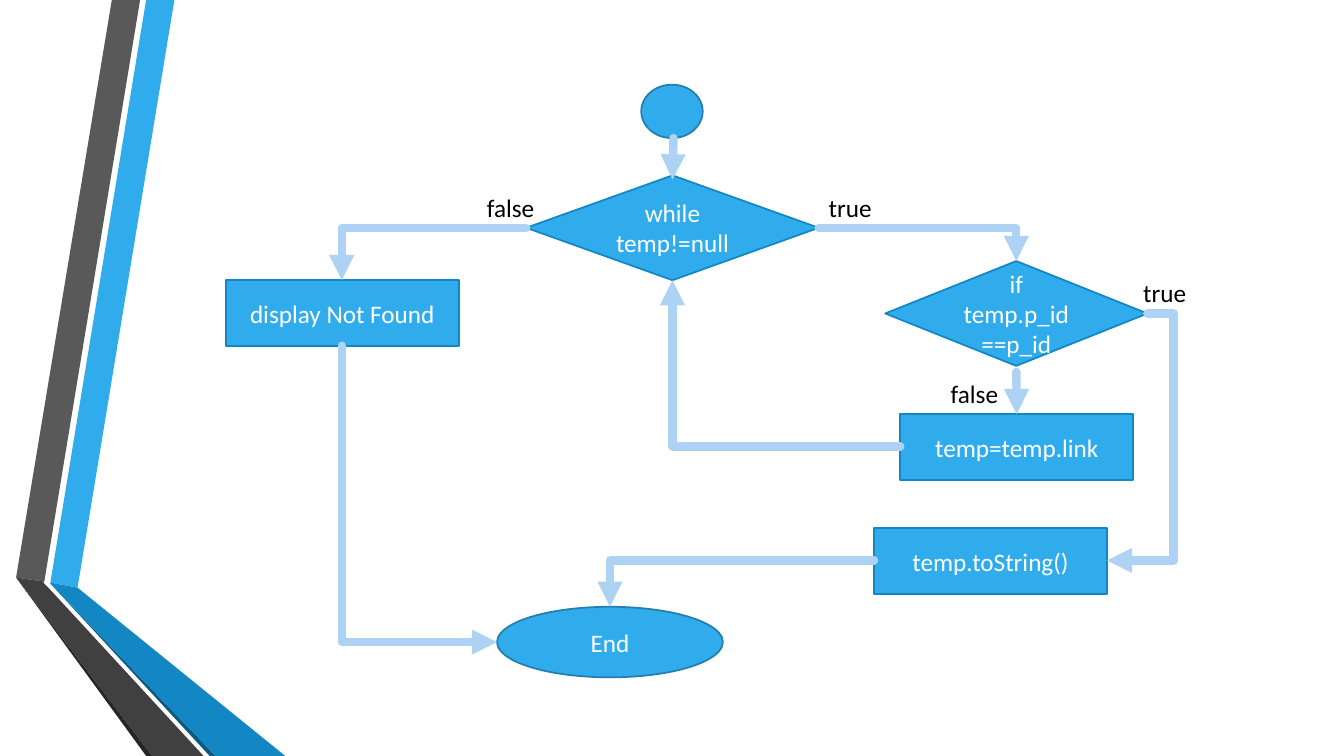
from dataclasses import dataclass
from enum import Enum

from lxml.etree import SubElement
from pptx import Presentation
from pptx.dml.color import RGBColor
from pptx.enum.shapes import MSO_CONNECTOR, MSO_SHAPE
from pptx.enum.text import MSO_ANCHOR, MSO_AUTO_SIZE, PP_ALIGN
from pptx.oxml.ns import qn
from pptx.shapes.autoshape import Shape
from pptx.shapes.connector import Connector
from pptx.slide import Slide
from pptx.util import Pt

PX = 9144  # EMU per px, 100 px to the inch
Point = tuple[int, int]


@dataclass(frozen=True)
class Theme:
    font: str = "Calibri"
    text_size: int = 18
    outline_width: float = 1.25
    arrow_width: int = 6
    accent: str = "30ACEC"
    accent_dark: str = "1287C3"
    accent_deep: str = "0C5A82"
    round_outline: str = "247FAF"
    arrow: str = "AED2F4"
    gray: str = "595959"
    gray_dark: str = "404040"
    gray_deep: str = "262626"
    on_accent: str = "FFFFFF"
    label: str = "000000"


THEME = Theme()


@dataclass(frozen=True)
class Node:
    kind: MSO_SHAPE
    left: int
    top: int
    width: int
    height: int
    text: str = ""
    outline: str = THEME.accent_dark

    @property
    def north(self) -> Point:
        return self.left + self.width // 2, self.top

    @property
    def south(self) -> Point:
        return self.left + self.width // 2, self.top + self.height

    @property
    def west(self) -> Point:
        return self.left, self.top + self.height // 2

    @property
    def east(self) -> Point:
        return self.left + self.width, self.top + self.height // 2


class Route(Enum):
    STRAIGHT = "straight"
    ACROSS_FIRST = "across first"
    DOWN_FIRST = "down first"
    AROUND = "around"


@dataclass(frozen=True)
class Arrow:
    begin: Point
    end: Point
    route: Route = Route.ACROSS_FIRST


@dataclass(frozen=True)
class Label:
    text: str
    left: int
    top: int
    width: int = 98
    height: int = 40


@dataclass(frozen=True)
class Ribbon:
    color: str
    points: tuple[Point, ...]


def process(text: str, left: int, top: int) -> Node:
    return Node(MSO_SHAPE.RECTANGLE, left, top, 231, 65, text)


START = Node(MSO_SHAPE.FLOWCHART_CONNECTOR, 636, 84, 61, 53, outline=THEME.round_outline)
LOOP = Node(MSO_SHAPE.DIAMOND, 522, 174, 290, 104, "while\ntemp!=null")
NOT_FOUND = process("display Not Found", 224, 278)
MATCH = Node(MSO_SHAPE.DIAMOND, 878, 259, 260, 104, "if temp.p_id==p_id")
NEXT = process("temp=temp.link", 893, 411)
SHOW = process("temp.toString()", 867, 524)
END = Node(MSO_SHAPE.OVAL, 493, 602, 224, 70, "End", THEME.round_outline)
NODES = (START, LOOP, NOT_FOUND, MATCH, NEXT, SHOW, END)

MATCH_TO_NEXT = Arrow((1008, 369), NEXT.north, Route.STRAIGHT)
ARROWS = (
    Arrow(LOOP.east, MATCH.north),
    Arrow(LOOP.west, NOT_FOUND.north),
    Arrow(NEXT.west, LOOP.south),
    Arrow((668, 137), (667, 178), Route.STRAIGHT),
    MATCH_TO_NEXT,
    Arrow(MATCH.east, SHOW.east, Route.AROUND),
    Arrow(NOT_FOUND.south, END.west, Route.DOWN_FIRST),
    Arrow(SHOW.west, END.north),
)
AROUND_GAP = 26  # how far the detour runs beyond its start

LABELS = (
    Label("true", 812, 186),
    Label("true", 1124, 270),
    Label("false", 473, 186, width=72),
    Label("false", 933, 370),
)

RIBBONS = (
    Ribbon(THEME.accent, ((50, 578), (77, 583), (173, 0), (145, 0))),
    Ribbon(THEME.gray, ((139, 0), (111, 0), (16, 573), (44, 577))),
    Ribbon(THEME.gray_deep, ((16, 573), (145, 750), (151, 750))),
    Ribbon(THEME.accent_deep, ((50, 579), (208, 750), (214, 750))),
    Ribbon(THEME.accent_dark, ((50, 579), (214, 750), (283, 750), (77, 583), (50, 578))),
    Ribbon(THEME.gray_dark, ((202, 750), (48, 583), (43, 578), (44, 577), (16, 573), (151, 750))),
)


def draw_ribbons(slide: Slide) -> None:
    group = slide.shapes.add_group_shape()
    for ribbon in RIBBONS:
        builder = group.shapes.build_freeform(*ribbon.points[0], scale=PX)
        builder.add_line_segments(ribbon.points[1:], close=True)
        shape = builder.convert_to_shape()
        shape.shadow.inherit = False
        shape.fill.solid()
        shape.fill.fore_color.rgb = RGBColor.from_string(ribbon.color)
        shape.line.fill.background()


def write_text(shape: Shape, text: str, color: str, align: PP_ALIGN) -> None:
    shape.text_frame.word_wrap = True
    shape.text_frame.text = text
    for paragraph in shape.text_frame.paragraphs:
        paragraph.alignment = align
        for run in paragraph.runs:
            run.font.name = THEME.font
            run.font.size = Pt(THEME.text_size)
            run.font.color.rgb = RGBColor.from_string(color)


def draw_node(slide: Slide, node: Node) -> Shape:
    box = (node.left, node.top, node.width, node.height)
    shape = slide.shapes.add_shape(node.kind, *(value * PX for value in box))
    shape.shadow.inherit = False
    shape.fill.solid()
    shape.fill.fore_color.rgb = RGBColor.from_string(THEME.accent)
    shape.line.color.rgb = RGBColor.from_string(node.outline)
    shape.line.width = Pt(THEME.outline_width)
    if node.text:
        shape.text_frame.vertical_anchor = MSO_ANCHOR.MIDDLE
        write_text(shape, node.text, THEME.on_accent, PP_ALIGN.CENTER)
    return shape


def bend(connector: Connector, arrow: Arrow) -> None:
    """Give an elbow one corner, or a detour beyond its start."""
    properties = connector._element.spPr
    geometry = properties.find(qn("a:prstGeom"))
    if arrow.route is Route.AROUND:
        share = -AROUND_GAP / abs(arrow.begin[0] - arrow.end[0])
        guides = geometry.find(qn("a:avLst"))
        SubElement(guides, qn("a:gd"), name="adj1", fmla=f"val {round(share * 100000)}")
        return
    geometry.set("prst", "bentConnector2")
    if arrow.route is Route.DOWN_FIRST:
        # A quarter turn swaps the sides of the box around its centre.
        width, height = connector.width, connector.height
        connector.left += (width - height) // 2
        connector.top += (height - width) // 2
        connector.width, connector.height = height, width
        transform = properties.find(qn("a:xfrm"))
        transform.set("rot", "5400000")
        transform.set("flipV", "1")


def draw_arrow(slide: Slide, arrow: Arrow) -> Connector:
    straight = arrow.route is Route.STRAIGHT
    kind = MSO_CONNECTOR.STRAIGHT if straight else MSO_CONNECTOR.ELBOW
    ends = (value * PX for value in arrow.begin + arrow.end)
    connector = slide.shapes.add_connector(kind, *ends)
    if not straight:
        bend(connector, arrow)
    connector.line.color.rgb = RGBColor.from_string(THEME.arrow)
    connector.line.width = Pt(THEME.arrow_width)
    properties = connector._element.spPr
    line = properties.find(qn("a:ln"))
    line.set("cap", "rnd")
    SubElement(line, qn("a:round"))
    SubElement(line, qn("a:tailEnd"), type="triangle")
    SubElement(properties, qn("a:effectLst"))
    return connector


def draw_label(slide: Slide, label: Label) -> None:
    box = (label.left, label.top, label.width, label.height)
    shape = slide.shapes.add_textbox(*(value * PX for value in box))
    write_text(shape, label.text, THEME.label, PP_ALIGN.LEFT)
    shape.text_frame.auto_size = MSO_AUTO_SIZE.SHAPE_TO_FIT_TEXT


def main() -> None:
    presentation = Presentation()
    presentation.slide_width, presentation.slide_height = 1333 * PX, 750 * PX
    slide = presentation.slides.add_slide(presentation.slide_layouts[6])
    draw_ribbons(slide)
    shapes = {node: draw_node(slide, node) for node in NODES}
    connectors = {arrow: draw_arrow(slide, arrow) for arrow in ARROWS}
    connectors[MATCH_TO_NEXT].end_connect(shapes[NEXT], 0)
    for label in LABELS:
        draw_label(slide, label)
    presentation.save("out.pptx")


if __name__ == "__main__":
    main()
